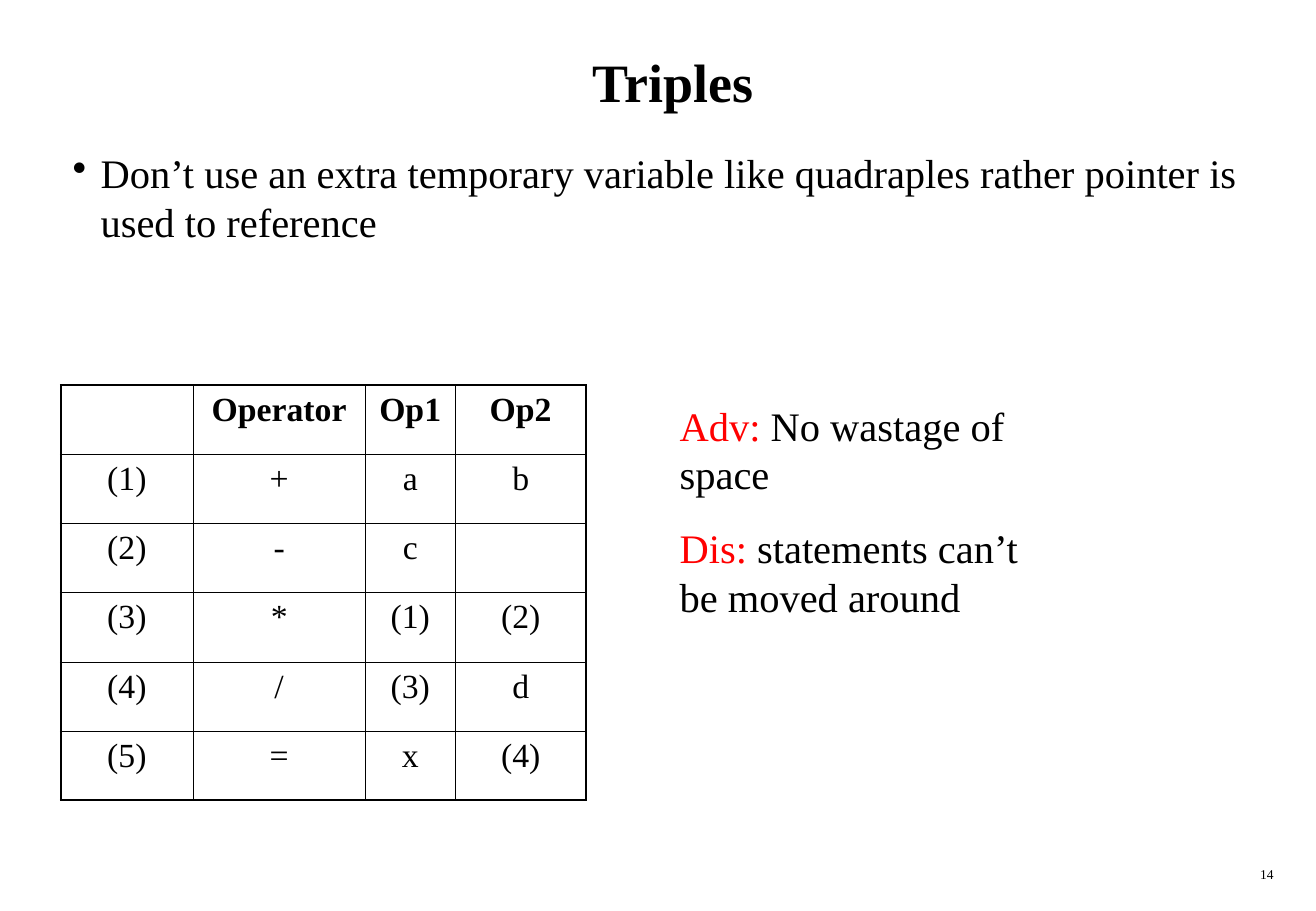
from dataclasses import dataclass

from lxml import etree
from pptx import Presentation
from pptx import util as u
from pptx.dml.color import RGBColor
from pptx.enum import text
from pptx.oxml import ns

PX = 9144  # EMU per px, 100 px to the inch


@dataclass(frozen=True)
class Theme:
    font: str = "Times New Roman"
    ink: str = "000000"
    accent: str = "FF0000"
    title: int = 32
    body: int = 24
    cell: int = 20
    footer: int = 8
    outer_line: float = 1.08
    inner_line: float = 0.45


class Slide:
    def __init__(self, deck, theme):
        self.theme = theme
        self.shapes = deck.slides.add_slide(deck.slide_layouts[6]).shapes

    def style(self, paragraph, size, align=text.PP_ALIGN.LEFT, bold=False):
        paragraph.alignment = align
        font = paragraph.font
        font.name, font.size, font.bold = self.theme.font, u.Pt(size), bold
        font.color.rgb = RGBColor.from_string(self.theme.ink)

    def frame(self, box, anchor=text.MSO_ANCHOR.TOP):
        """Add a wrapping text box at box (left, top, width, height)."""
        frame = self.shapes.add_textbox(*(n * PX for n in box)).text_frame
        frame.word_wrap = True
        frame.vertical_anchor = anchor
        return frame

    def line(self, box, words, size, align, bold=False, anchor=text.MSO_ANCHOR.TOP):
        paragraph = self.frame(box, anchor).paragraphs[0]
        paragraph.text = words
        self.style(paragraph, size, align, bold)

    def bullet(self, box, words, indent):
        paragraph = self.frame(box).paragraphs[0]
        paragraph.text = words
        props = paragraph._p.get_or_add_pPr()
        props.set("marL", str(indent * PX))
        props.set("indent", str(-indent * PX))
        etree.SubElement(props, ns.qn("a:buChar")).set("char", "•")
        self.style(paragraph, self.theme.body)

    def labelled(self, box, notes, gap):
        """Add one paragraph per note, its label in the accent colour."""
        frame = self.frame(box)
        for i, (label, words) in enumerate(notes):
            paragraph = frame.add_paragraph() if i else frame.paragraphs[0]
            if i:
                paragraph.space_before = u.Pt(gap)
            self.style(paragraph, self.theme.body)
            lead = paragraph.add_run()
            lead.text = label
            lead.font.color.rgb = RGBColor.from_string(self.theme.accent)
            paragraph.add_run().text = f" {words}"

    def border(self, cell, side, width):
        edge = etree.SubElement(cell._tc.get_or_add_tcPr(), ns.qn(f"a:ln{side}"))
        edge.set("w", str(int(u.Pt(width))))
        fill = etree.SubElement(edge, ns.qn("a:solidFill"))
        etree.SubElement(fill, ns.qn("a:srgbClr")).set("val", self.theme.ink)

    def table(self, left, top, widths, row_height, rows):
        last_row, last_col = len(rows) - 1, len(widths) - 1
        table = self.shapes.add_table(
            len(rows), len(widths), left * PX, top * PX,
            sum(widths) * PX, len(rows) * row_height * PX).table
        table.first_row = table.horz_banding = False
        for column, width in zip(table.columns, widths):
            column.width = width * PX
        for r, values in enumerate(rows):
            table.rows[r].height = row_height * PX
            for c, value in enumerate(values):
                cell = table.cell(r, c)
                cell.text = value
                self.style(cell.text_frame.paragraphs[0], self.theme.cell,
                           text.PP_ALIGN.CENTER, bold=r == 0)
                on_rim = {"L": c == 0, "R": c == last_col,
                          "T": r == 0, "B": r == last_row}
                for side, outer in on_rim.items():
                    self.border(cell, side, self.theme.outer_line if outer
                                else self.theme.inner_line)
                cell.fill.background()


def main():
    deck = Presentation()
    deck.slide_width, deck.slide_height = 1084 * PX, 750 * PX
    theme = Theme()
    slide = Slide(deck, theme)

    slide.line((42, 17, 1025, 100), "Triples", theme.title,
               text.PP_ALIGN.CENTER, bold=True, anchor=text.MSO_ANCHOR.MIDDLE)
    triples = [
        ("", "Operator", "Op1", "Op2"),
        ("(1)", "+", "a", "b"),
        ("(2)", "-", "c", ""),
        ("(3)", "*", "(1)", "(2)"),
        ("(4)", "/", "(3)", "d"),
        ("(5)", "=", "x", "(4)"),
    ]
    slide.table(50, 317, (109, 142, 74, 108), 57, triples)
    slide.bullet((50, 117, 992, 151),
                 "Don’t use an extra temporary variable like quadraples "
                 "rather pointer is used to reference", indent=23)
    slide.labelled((550, 325, 317, 191),
                   [("Adv:", "No wastage of space"),
                    ("Dis:", "statements can’t be moved around")], gap=15)
    slide.line((833, 708, 226, 25), "14", theme.footer, text.PP_ALIGN.RIGHT)

    deck.save("out.pptx")


if __name__ == "__main__":
    main()
